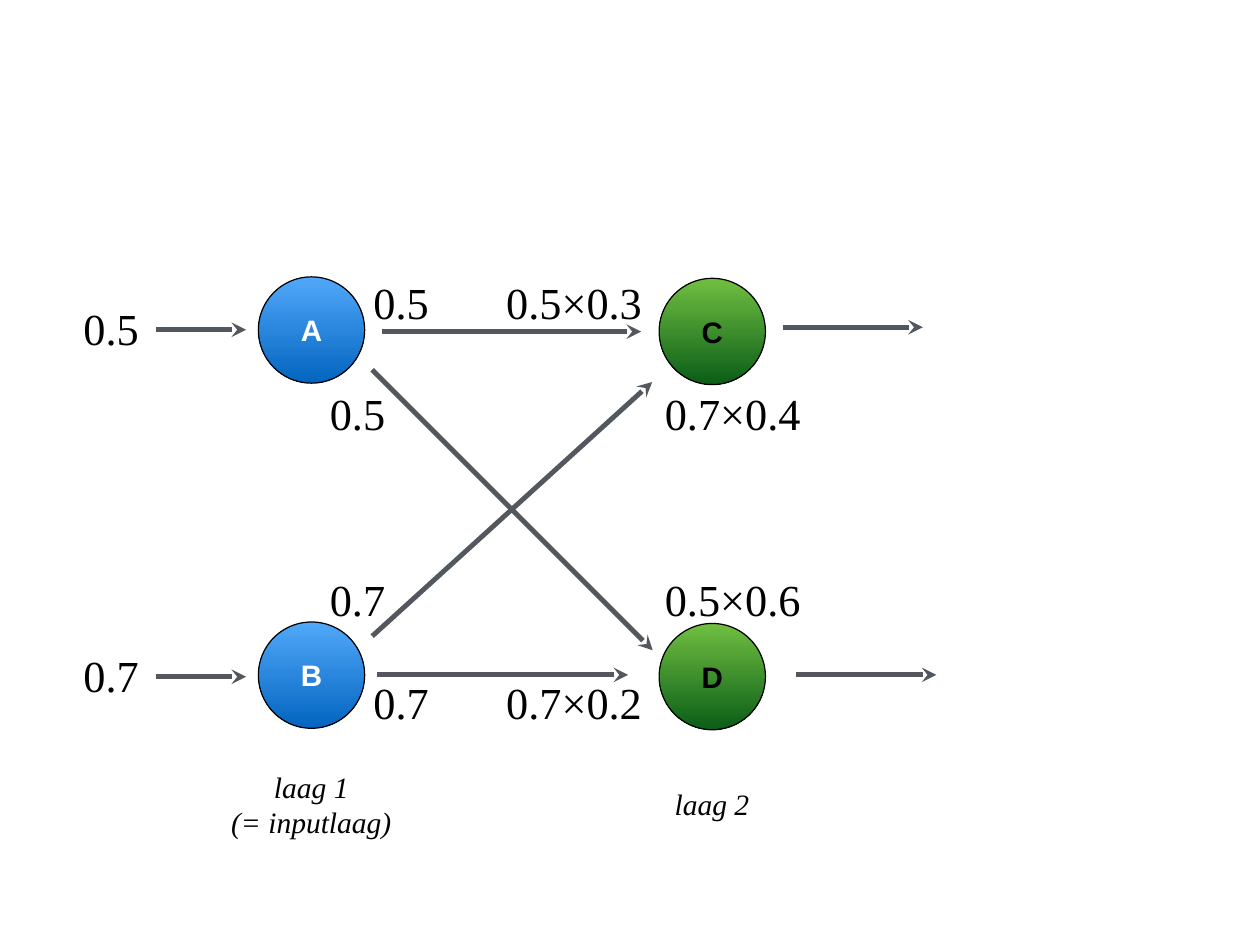
"""Draw a two-layer neural network with its weighted signals."""
from lxml import etree
from pptx import Presentation
from pptx.dml.color import RGBColor
from pptx.enum.shapes import MSO_CONNECTOR, MSO_SHAPE
from pptx.enum.text import MSO_ANCHOR, MSO_AUTO_SIZE, PP_ALIGN
from pptx.oxml.ns import qn
from pptx.util import Pt

OVAL = MSO_SHAPE.OVAL
STRAIGHT = MSO_CONNECTOR.STRAIGHT
MIDDLE = MSO_ANCHOR.MIDDLE
CENTER = PP_ALIGN.CENTER
GROW = MSO_AUTO_SIZE.SHAPE_TO_FIT_TEXT

BLACK = RGBColor(0, 0, 0)
WHITE = RGBColor(255, 255, 255)
GRAY = RGBColor(0x53, 0x58, 0x5F)
BLUES = RGBColor(0x51, 0xA8, 0xF9), RGBColor(0x03, 0x65, 0xC0)
GREENS = RGBColor(0x70, 0xBF, 0x41), RGBColor(0x0B, 0x5D, 0x18)
SERIF, SANS = "Times New Roman", "Arial"

SIZE = 86.4
INPUT_X, OUTPUT_X = 210, 535.7
NODES = [
    ("A", INPUT_X, 225, BLUES, WHITE),
    ("B", INPUT_X, 505.5, BLUES, WHITE),
    ("C", OUTPUT_X, 226.2, GREENS, BLACK),
    ("D", OUTPUT_X, 506.7, GREENS, BLACK),
]
ARROWS = [
    (127, 268, 200, 268),
    (127, 550, 200, 550),
    (310.5, 269.5, 521, 269.5),
    (306, 548.5, 510.5, 548.5),
    (302.5, 300.5, 530.5, 528.5),
    (302.5, 517, 530, 310.5),
    (636, 266, 750, 266),
    (646.5, 548.5, 761, 548.5),
]
SHORT, LONG, TALL = 54, 119.5, 48
LABELS = [
    ("0.5", 63.3, 242, SHORT),
    ("0.7", 63.3, 524.3, SHORT),
    ("0.5", 299, 221.2, SHORT),
    ("0.5", 263.5, 311.8, SHORT),
    ("0.7", 263.5, 462.4, SHORT),
    ("0.7", 299, 546.5, SHORT),
    ("0.5×0.3", 406.8, 221.2, LONG),
    ("0.7×0.4", 535.7, 311.8, LONG),
    ("0.5×0.6", 535.7, 462.4, LONG),
    ("0.7×0.2", 406.8, 546.5, LONG),
]
LAYERS = [
    ("laag 1\n(= inputlaag)", 183.5, 622.8, 139, 61.2),
    ("laag 2", 543.6, 636.5, 70, 34),
]


def write(shape, text, face, size, color, bold=False, italic=False):
    frame = shape.text_frame
    frame.text = text
    frame.vertical_anchor = MIDDLE
    frame.margin_left = frame.margin_right = Pt(4)
    frame.margin_top = frame.margin_bottom = Pt(4)
    for para in frame.paragraphs:
        para.alignment = CENTER
        for run in para.runs:
            font = run.font
            font.name, font.size = face, Pt(size)
            font.bold, font.italic = bold, italic
            font.color.rgb = color


def add_node(shapes, name, left, top, shades, ink):
    node = shapes.add_shape(OVAL, Pt(left), Pt(top), Pt(SIZE), Pt(SIZE))
    node.shadow.inherit = False
    node.fill.gradient()
    node.fill.gradient_angle = 270
    for stop, shade in zip(node.fill.gradient_stops, shades):
        stop.color.rgb = shade
    node.line.color.rgb = BLACK
    node.line.width = Pt(1)
    write(node, name, SANS, 24, ink, bold=True)


def add_arrow(shapes, *ends):
    arrow = shapes.add_connector(STRAIGHT, *map(Pt, ends))
    arrow.line.color.rgb = GRAY
    arrow.line.width = Pt(4)
    tail = etree.SubElement(arrow.line._get_or_add_ln(), qn("a:tailEnd"))
    tail.set("type", "stealth")
    etree.SubElement(arrow._element.spPr, qn("a:effectLst"))


def add_label(shapes, text, left, top, width, height, size, italic=False):
    box = shapes.add_textbox(Pt(left), Pt(top), Pt(width), Pt(height))
    box.text_frame.word_wrap = False
    box.text_frame.auto_size = GROW
    write(box, text, SERIF, size, BLACK, italic=italic)


def main():
    deck = Presentation()
    deck.slide_width, deck.slide_height = Pt(1024), Pt(768)
    shapes = deck.slides.add_slide(deck.slide_layouts[6]).shapes
    for arrow in ARROWS:
        add_arrow(shapes, *arrow)
    for node in NODES:
        add_node(shapes, *node)
    for label in LABELS:
        add_label(shapes, *label, TALL, 36)
    for layer in LAYERS:
        add_label(shapes, *layer, 24, italic=True)
    deck.save("out.pptx")


if __name__ == "__main__":
    main()
